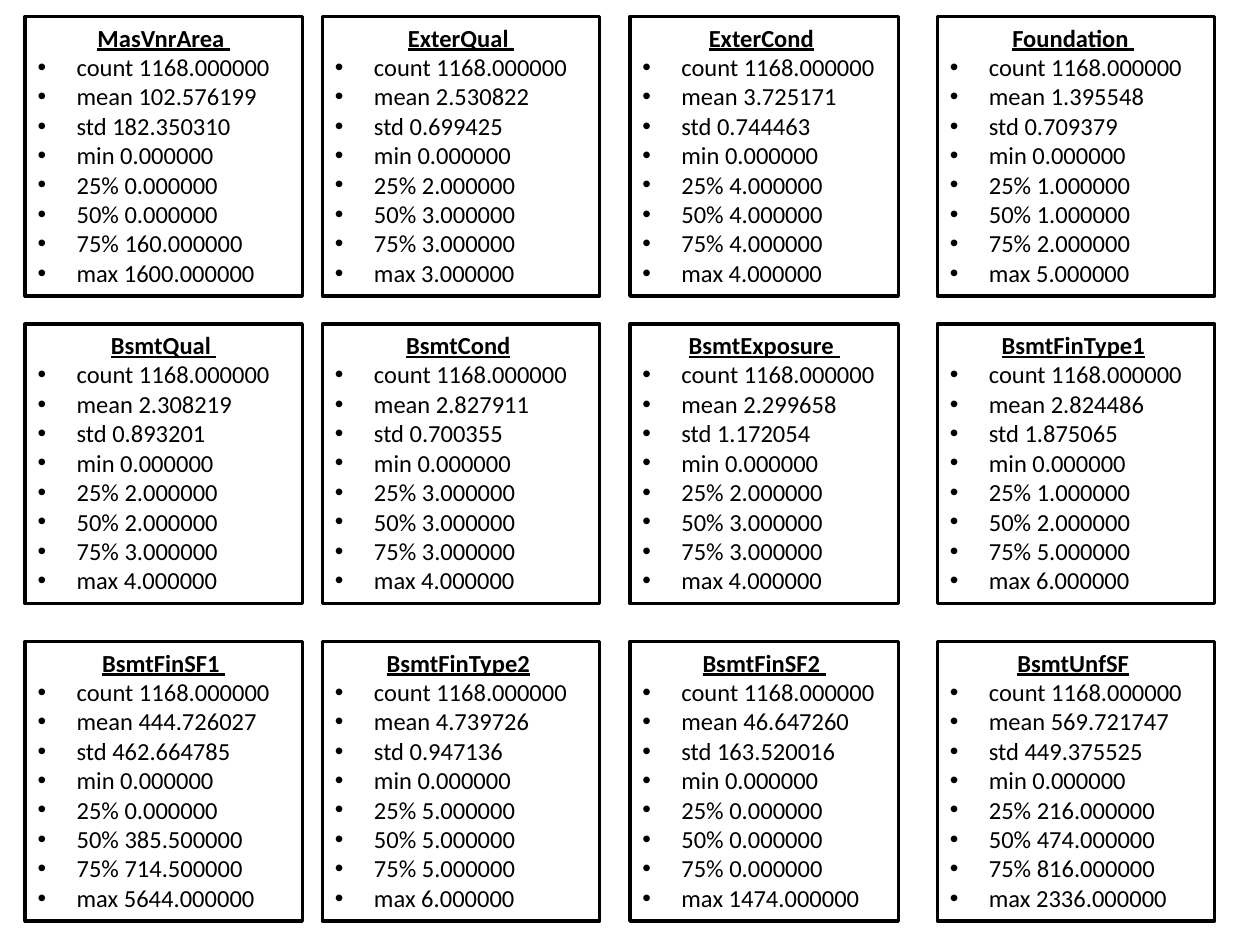
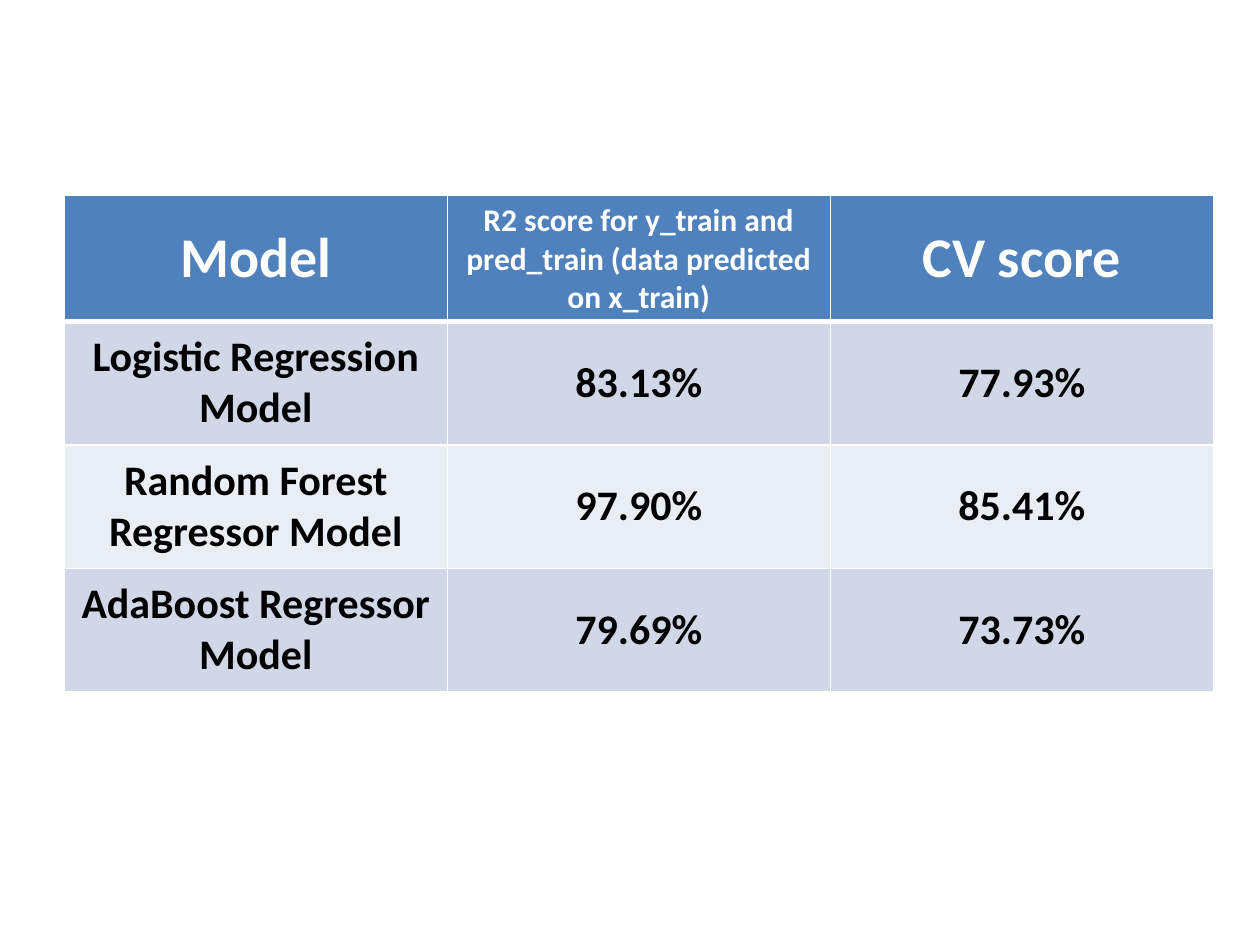
"""Build two slides: feature summary boxes and a model score table."""
from lxml import etree
from pptx import Presentation
from pptx.dml.color import RGBColor
from pptx.enum.shapes import MSO_SHAPE
from pptx.enum.text import MSO_ANCHOR, MSO_AUTO_SIZE, PP_ALIGN
from pptx.oxml.ns import qn
from pptx.util import Pt

PX = 9144
FONT = "Calibri"
BLACK = RGBColor(0x00, 0x00, 0x00)
WHITE = RGBColor(0xFF, 0xFF, 0xFF)
HEADER = RGBColor(0x4F, 0x81, 0xBD)
BANDS = [RGBColor(0xD0, 0xD8, 0xE8), RGBColor(0xE9, 0xED, 0xF4)]
RECT = MSO_SHAPE.RECTANGLE
TOP, MIDDLE = MSO_ANCHOR.TOP, MSO_ANCHOR.MIDDLE
LEFT, CENTER = PP_ALIGN.LEFT, PP_ALIGN.CENTER
GROW = MSO_AUTO_SIZE.SHAPE_TO_FIT_TEXT


def style_font(font, size, color, bold=False, underline=False):
    font.name = FONT
    font.size = Pt(size)
    font.color.rgb = color
    font.bold = bold
    font.underline = underline


def add_border(cell, side, width):
    ln = etree.SubElement(cell._tc.get_or_add_tcPr(), qn(f"a:{side}"), w=str(Pt(width)))
    fill = etree.SubElement(ln, qn("a:solidFill"))
    etree.SubElement(fill, qn("a:srgbClr"), val=str(WHITE))


prs = Presentation()
prs.slide_width = 1000 * PX
prs.slide_height = 750 * PX
blank = prs.slide_layouts[6]

LABELS = ["count", "mean", "std", "min", "25%", "50%", "75%", "max"]
FEATURES = [
    ("MasVnrArea ", "", "1168.000000 102.576199 182.350310 0.000000 0.000000 0.000000 160.000000 1600.000000"),
    ("ExterQual ", "", "1168.000000 2.530822 0.699425 0.000000 2.000000 3.000000 3.000000 3.000000"),
    ("ExterCond", " ", "1168.000000 3.725171 0.744463 0.000000 4.000000 4.000000 4.000000 4.000000"),
    ("Foundation ", " ", "1168.000000 1.395548 0.709379 0.000000 1.000000 1.000000 2.000000 5.000000"),
    ("BsmtQual ", "", "1168.000000 2.308219 0.893201 0.000000 2.000000 2.000000 3.000000 4.000000"),
    ("BsmtCond", " ", "1168.000000 2.827911 0.700355 0.000000 3.000000 3.000000 3.000000 4.000000"),
    ("BsmtExposure ", "", "1168.000000 2.299658 1.172054 0.000000 2.000000 3.000000 3.000000 4.000000"),
    ("BsmtFinType1", " ", "1168.000000 2.824486 1.875065 0.000000 1.000000 2.000000 5.000000 6.000000"),
    ("BsmtFinSF1 ", "", "1168.000000 444.726027 462.664785 0.000000 0.000000 385.500000 714.500000 5644.000000"),
    ("BsmtFinType2", " ", "1168.000000 4.739726 0.947136 0.000000 5.000000 5.000000 5.000000 6.000000"),
    ("BsmtFinSF2 ", "", "1168.000000 46.647260 163.520016 0.000000 0.000000 0.000000 0.000000 1474.000000"),
    ("BsmtUnfSF", " ", "1168.000000 569.721747 449.375525 0.000000 216.000000 474.000000 816.000000 2336.000000"),
]
COLUMNS = [(20, 220), (256, 220), (500, 213), (744, 220)]
ROW_TOPS = [13, 257, 509]
BOX_HEIGHT = 222
INDENT = 31

s = prs.slides.add_slide(blank)
for i, (name, tail, values) in enumerate(FEATURES):
    left, width = COLUMNS[i % 4]
    sp = s.shapes.add_shape(RECT, left * PX, ROW_TOPS[i // 4] * PX, width * PX, BOX_HEIGHT * PX)
    sp.shadow.inherit = False
    sp.fill.solid()
    sp.fill.fore_color.rgb = WHITE
    sp.line.color.rgb = BLACK
    sp.line.width = Pt(2)
    tf = sp.text_frame
    tf.word_wrap = True
    tf.auto_size = GROW
    tf.vertical_anchor = TOP

    p = tf.paragraphs[0]
    p.alignment = CENTER
    r = p.add_run()
    r.text = name
    style_font(r.font, 14, BLACK, bold=True, underline=True)
    if tail:
        r = p.add_run()
        r.text = tail
        style_font(r.font, 14, BLACK)

    for label, value in zip(LABELS, values.split()):
        p = tf.add_paragraph()
        p.text = f"{label} {value}"
        p.alignment = LEFT
        pPr = p._p.get_or_add_pPr()
        pPr.set("marL", str(INDENT * PX))
        pPr.set("indent", str(-INDENT * PX))
        etree.SubElement(pPr, qn("a:buFont"), typeface="Arial")
        etree.SubElement(pPr, qn("a:buChar"), char="•")
        style_font(p.runs[0].font, 14, BLACK)

SCORES = [
    ["Model", "R2 score for y_train and pred_train (data predicted on x_train)", "CV score"],
    ["Logistic Regression Model", "83.13%", "77.93%"],
    ["Random Forest Regressor Model", "97.90%", "85.41%"],
    ["AdaBoost Regressor Model", "79.69%", "73.73%"],
]
HEADER_SIZES = [32, 18, 32]
COL_WIDTH, ROW_HEIGHT = 304, 98

s = prs.slides.add_slide(blank)
table = s.shapes.add_table(4, 3, 51 * PX, 155 * PX, 3 * COL_WIDTH * PX, 4 * ROW_HEIGHT * PX).table
for column in table.columns:
    column.width = COL_WIDTH * PX
for row, texts in enumerate(SCORES):
    table.rows[row].height = ROW_HEIGHT * PX
    for col, text in enumerate(texts):
        cell = table.cell(row, col)
        is_header = row == 0
        add_border(cell, "lnL", 1)
        add_border(cell, "lnR", 1)
        add_border(cell, "lnT", 3 if row == 1 else 1)
        add_border(cell, "lnB", 3 if is_header else 1)
        cell.fill.solid()
        cell.fill.fore_color.rgb = HEADER if is_header else BANDS[(row - 1) % 2]
        cell.vertical_anchor = TOP if is_header and col == 1 else MIDDLE
        cell.text_frame.text = text
        p = cell.text_frame.paragraphs[0]
        p.alignment = CENTER
        size = HEADER_SIZES[col] if is_header else 24
        style_font(p.runs[0].font, size, WHITE if is_header else BLACK, bold=True)

prs.save("out.pptx")
